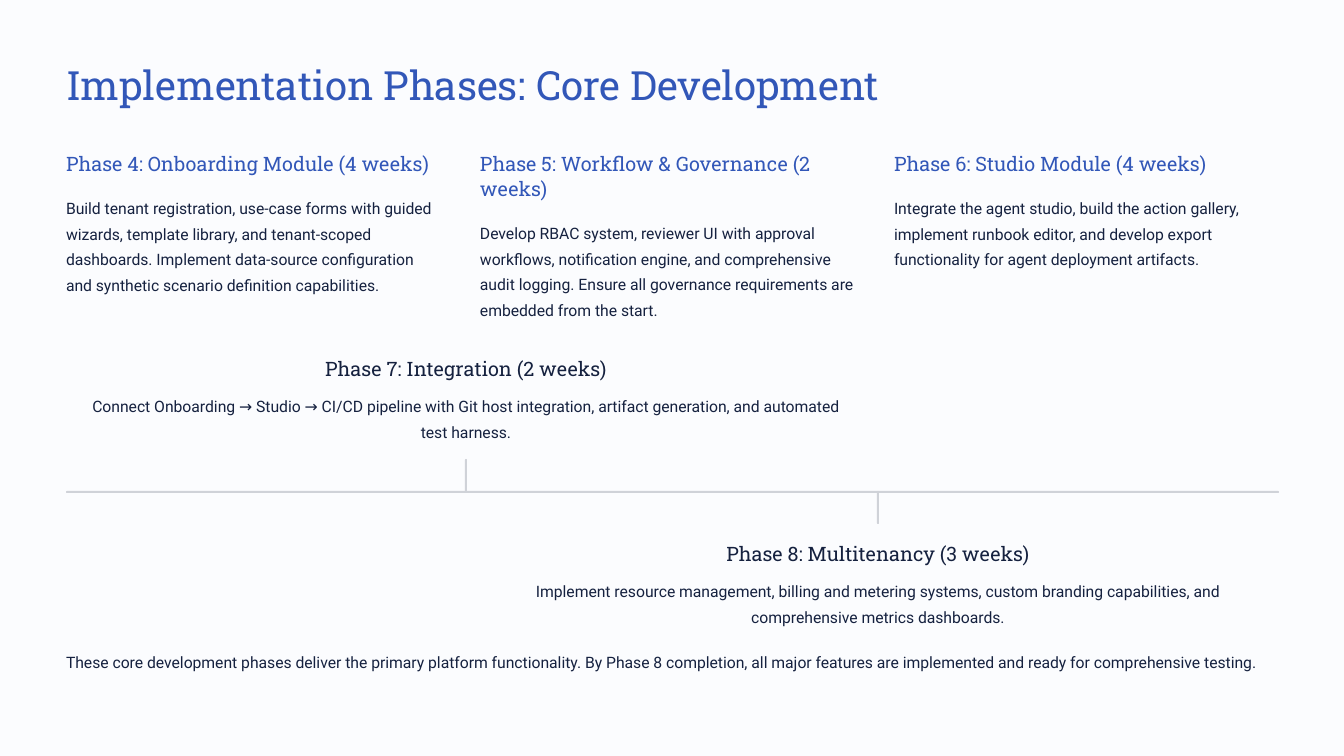
from dataclasses import dataclass

from pptx import Presentation
from pptx import util as u
from pptx.dml.color import RGBColor
from pptx.enum import shapes, text

BLUE = RGBColor(0x32, 0x57, 0xB8)
NAVY = RGBColor(0x15, 0x21, 0x3F)
GREY = RGBColor(0xCF, 0xD2, 0xD8)
PAPER = RGBColor(0xFB, 0xFC, 0xFE)

LEFT, CONTENT_W = 66, 1213
COLUMN_W, COLUMN_STEP, COLUMN_TOP = 374, 414, 150
HEAD_LINE = 25
AXIS_Y, LINE_W, TICK_H = 491, 2, 33
EVENT_W, EVENT_BODY_GAP = 770, 35


@dataclass(frozen=True)
class Style:
    font: str
    size: float
    leading: float
    color: RGBColor


@dataclass(frozen=True)
class Phase:
    head: str
    body: str
    head_lines: int = 1


@dataclass(frozen=True)
class Event:
    head: str
    body: str
    center: int
    top: int
    tick_top: int


TITLE = Style("Roboto Slab", 34.5, 43.5, BLUE)
PHASE_HEAD = Style("Roboto Slab", 17, 21.5, BLUE)
EVENT_HEAD = Style("Roboto Slab", 17, 21.5, NAVY)
BODY = Style("Roboto", 13.5, 22, NAVY)

PHASES = [
    Phase("Phase 4: Onboarding Module (4 weeks)",
          "Build tenant registration, use-case forms with guided wizards, template library, "
          "and tenant-scoped dashboards. Implement data-source configuration and synthetic "
          "scenario definition capabilities."),
    Phase("Phase 5: Workflow & Governance (2 weeks)",
          "Develop RBAC system, reviewer UI with approval workflows, notification engine, "
          "and comprehensive audit logging. Ensure all governance requirements are embedded "
          "from the start.", head_lines=2),
    Phase("Phase 6: Studio Module (4 weeks)",
          "Integrate the agent studio, build the action gallery, implement runbook editor, "
          "and develop export functionality for agent deployment artifacts."),
]
EVENTS = [
    Event("Phase 7: Integration (2 weeks)",
          "Connect Onboarding → Studio → CI/CD pipeline with Git host integration, artifact "
          "generation, and automated test harness.", 466, 355, AXIS_Y - TICK_H + 1),
    Event("Phase 8: Multitenancy (3 weeks)",
          "Implement resource management, billing and metering systems, custom branding "
          "capabilities, and comprehensive metrics dashboards.", 878, 540, AXIS_Y),
]


def px(n: int) -> u.Emu:
    return u.Emu(round(n * 914400 / 84))


def add_text(s, content: str, style: Style, x: int, y: int, w: int, h: int,
             align=text.PP_ALIGN.LEFT) -> None:
    tf = s.shapes.add_textbox(px(x), px(y), px(w), px(h)).text_frame
    tf.word_wrap = True
    tf.margin_left = tf.margin_right = tf.margin_top = tf.margin_bottom = 0
    p = tf.paragraphs[0]
    p.alignment = align
    p.line_spacing = u.Pt(style.leading)
    r = p.add_run()
    r.text = content
    r.font.name = style.font
    r.font.size = u.Pt(style.size)
    r.font.color.rgb = style.color


def add_bar(s, x: int, y: int, w: int, h: int) -> None:
    sp = s.shapes.add_shape(shapes.MSO_SHAPE.ROUNDED_RECTANGLE, px(x), px(y), px(w), px(h))
    sp.adjustments[0] = 0.5
    sp.shadow.inherit = False
    sp.fill.solid()
    sp.fill.fore_color.rgb = GREY
    sp.line.fill.background()


def add_phase(s, phase: Phase, x: int) -> None:
    head_h = phase.head_lines * HEAD_LINE
    add_text(s, phase.head, PHASE_HEAD, x, COLUMN_TOP, COLUMN_W, head_h)
    add_text(s, phase.body, BODY, x, COLUMN_TOP + head_h + 17, COLUMN_W, 104)


def add_event(s, event: Event) -> None:
    x = event.center - EVENT_W // 2
    center = text.PP_ALIGN.CENTER
    add_bar(s, event.center - LINE_W // 2, event.tick_top, LINE_W, TICK_H)
    add_text(s, event.head, EVENT_HEAD, x, event.top, EVENT_W, HEAD_LINE, center)
    add_text(s, event.body, BODY, x, event.top + EVENT_BODY_GAP, EVENT_W, 52, center)


def main() -> None:
    prs = Presentation()
    prs.slide_width, prs.slide_height = px(1344), px(756)
    s = prs.slides.add_slide(prs.slide_layouts[6])
    s.background.fill.solid()
    s.background.fill.fore_color.rgb = PAPER

    # Title
    add_text(s, "Implementation Phases: Core Development", TITLE, LEFT, 58, CONTENT_W, 51)

    # Three phase columns
    for i, phase in enumerate(PHASES):
        add_phase(s, phase, LEFT + i * COLUMN_STEP)

    # Timeline with one event above and one below
    add_bar(s, LEFT, AXIS_Y, CONTENT_W, LINE_W)
    for event in EVENTS:
        add_event(s, event)

    # Closing line
    add_text(s, "These core development phases deliver the primary platform functionality. "
                "By Phase 8 completion, all major features are implemented and ready for "
                "comprehensive testing.", BODY, LEFT, 646, CONTENT_W, 52)

    prs.save("out.pptx")


if __name__ == "__main__":
    main()
